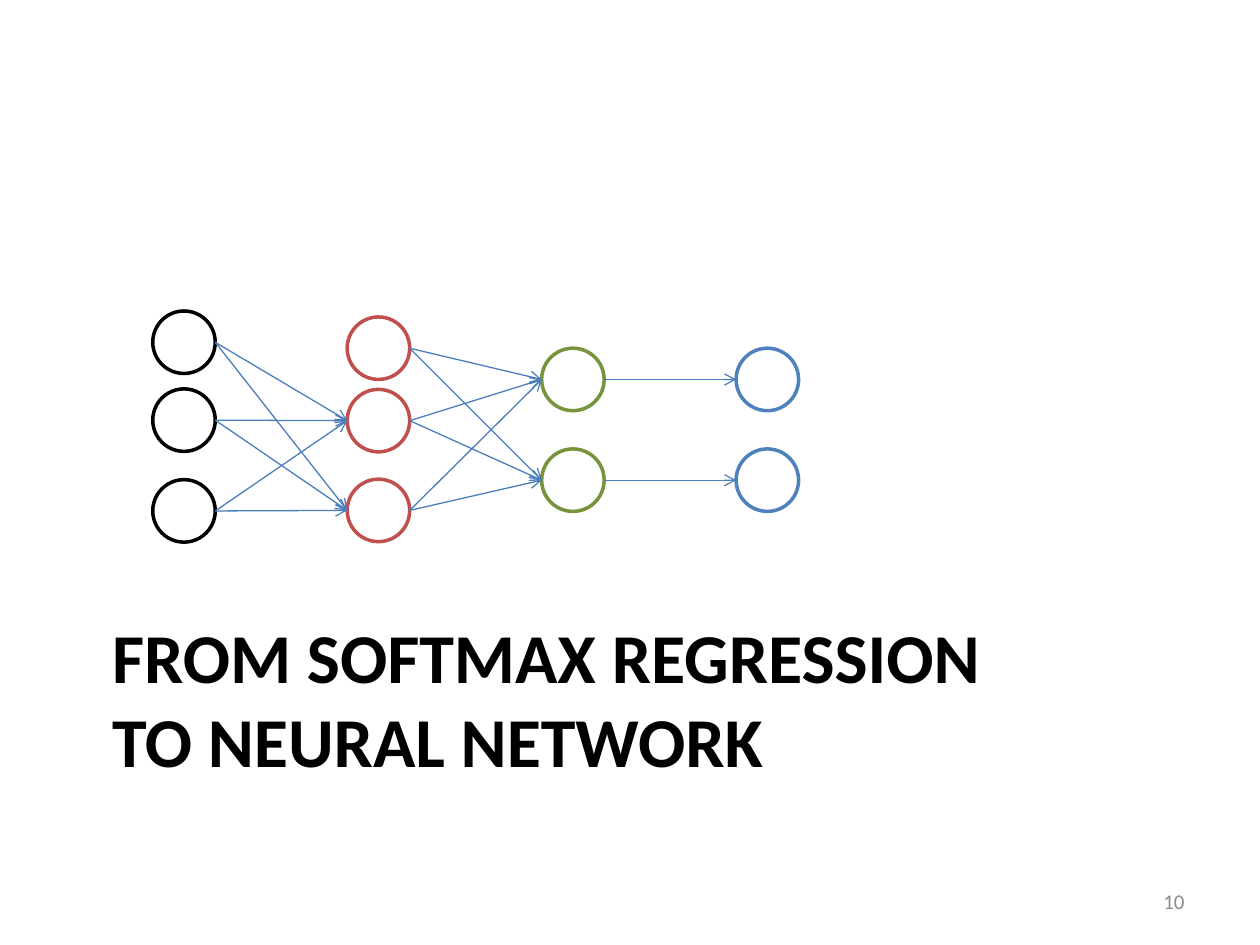
from dataclasses import dataclass
from itertools import product

from lxml import etree
from pptx import Presentation
from pptx.dml.color import RGBColor
from pptx.enum.shapes import MSO_CONNECTOR, MSO_SHAPE
from pptx.enum.text import MSO_ANCHOR, PP_ALIGN
from pptx.oxml.ns import qn
from pptx.slide import Slide
from pptx.util import Cm, Pt

OVAL = MSO_SHAPE.OVAL
STRAIGHT = MSO_CONNECTOR.STRAIGHT
TOP, MIDDLE = MSO_ANCHOR.TOP, MSO_ANCHOR.MIDDLE
LEFT, RIGHT = PP_ALIGN.LEFT, PP_ALIGN.RIGHT

BLACK = RGBColor(0x00, 0x00, 0x00)
WHITE = RGBColor(0xFF, 0xFF, 0xFF)
RED = RGBColor(0xC0, 0x50, 0x4D)
GREEN = RGBColor(0x77, 0x93, 0x3C)
BLUE = RGBColor(0x4F, 0x81, 0xBD)
ARROW_BLUE = RGBColor(0x4B, 0x7E, 0xBC)
GRAY = RGBColor(0x8C, 0x8C, 0x8C)

FONT = "Calibri"
DIAMETER = 1.26
FIRST_LAYER_X = 3.71
LAYER_STEP = 3.92


@dataclass
class Layer:
    color: RGBColor
    centers_y: list[float]


@dataclass
class Label:
    lines: list[str]
    box: tuple[float, float, float, float]
    size: int
    color: RGBColor
    bold: bool
    align: PP_ALIGN
    anchor: MSO_ANCHOR


# Node centres in centimetres, from input to result
LAYERS = [
    Layer(BLACK, [6.9, 8.47, 10.3]),
    Layer(RED, [7.02, 8.48, 10.29]),
    Layer(GREEN, [7.65, 9.68]),
    Layer(BLUE, [7.65, 9.68]),
]

# Node pairs joined between each layer and the next; the top hidden node has no input
LINKS = [
    list(product(range(3), (1, 2))),
    list(product(range(3), range(2))),
    [(0, 0), (1, 1)],
]

LABELS = [
    Label(["FROM SOFTMAX REGRESSION ", "TO NEURAL NETWORK"],
          (2.01, 12.24, 21.59, 3.78), 40, BLACK, True, LEFT, TOP),
    Label(["10"], (18.21, 17.65, 5.92, 1.02), 12, GRAY, False, RIGHT, MIDDLE),
]


def layer_x(index: int) -> float:
    return FIRST_LAYER_X + index * LAYER_STEP


def add_node(slide: Slide, center_x: float, center_y: float, color: RGBColor) -> None:
    radius = DIAMETER / 2
    node = slide.shapes.add_shape(OVAL, Cm(center_x - radius), Cm(center_y - radius),
                                  Cm(DIAMETER), Cm(DIAMETER))
    node.shadow.inherit = False
    node.fill.solid()
    node.fill.fore_color.rgb = WHITE
    node.line.color.rgb = color
    node.line.width = Pt(2)


def add_arrow(slide: Slide, layer_index: int, start_y: float, end_y: float) -> None:
    radius = DIAMETER / 2
    arrow = slide.shapes.add_connector(
        STRAIGHT, Cm(layer_x(layer_index) + radius), Cm(start_y),
        Cm(layer_x(layer_index + 1) - radius), Cm(end_y))
    arrow.line.color.rgb = ARROW_BLUE
    arrow.line.width = Pt(0.75)
    properties = arrow.element.spPr
    etree.SubElement(properties.find(qn("a:ln")), qn("a:tailEnd"), type="arrow")
    etree.SubElement(properties, qn("a:effectLst"))


def add_label(slide: Slide, label: Label) -> None:
    frame = slide.shapes.add_textbox(*map(Cm, label.box)).text_frame
    frame.word_wrap = True
    frame.vertical_anchor = label.anchor
    paragraph = frame.paragraphs[0]
    paragraph.alignment = label.align
    for index, line in enumerate(label.lines):
        if index:
            paragraph.add_line_break()
        run = paragraph.add_run()
        run.text = line
        run.font.name = FONT
        run.font.size = Pt(label.size)
        run.font.bold = label.bold
        run.font.color.rgb = label.color


def main() -> None:
    presentation = Presentation()
    presentation.slide_width = Cm(25.4)
    presentation.slide_height = Cm(19.05)
    slide = presentation.slides.add_slide(presentation.slide_layouts[6])

    # Network nodes
    for index, layer in enumerate(LAYERS):
        for center_y in layer.centers_y:
            add_node(slide, layer_x(index), center_y, layer.color)

    # Arrows between neighbouring layers
    for index, pairs in enumerate(LINKS):
        for start, end in pairs:
            add_arrow(slide, index, LAYERS[index].centers_y[start],
                      LAYERS[index + 1].centers_y[end])

    # Title and slide number
    for label in LABELS:
        add_label(slide, label)

    presentation.save("out.pptx")


if __name__ == "__main__":
    main()
